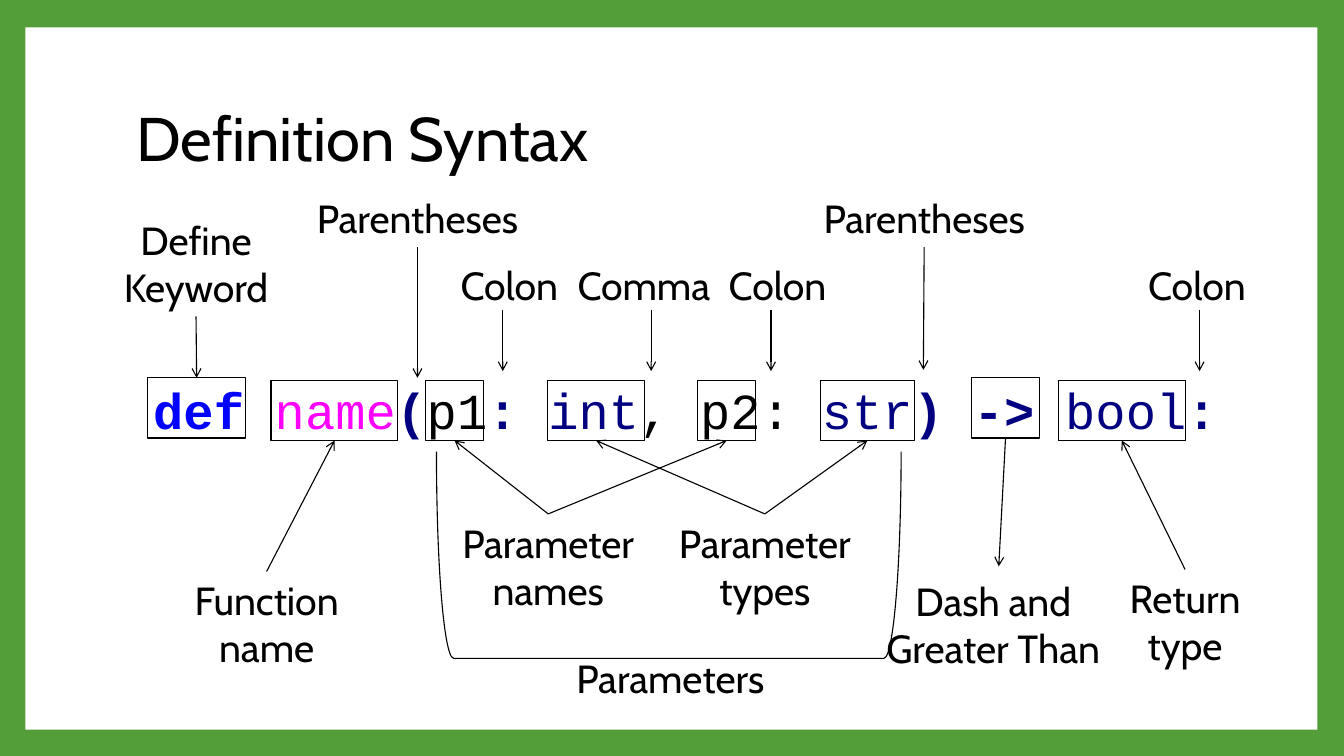
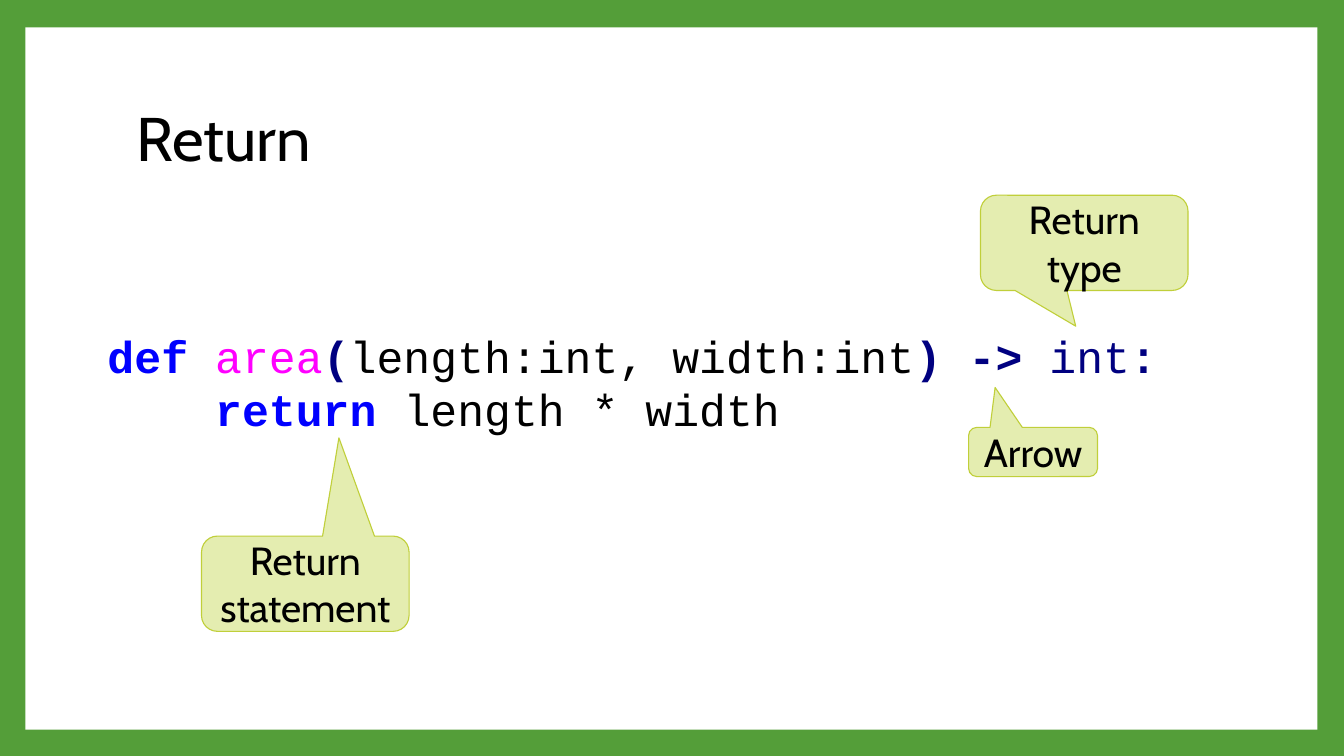
"""Build two slides on Python function definitions and return statements."""
from pptx import Presentation
from pptx.dml.color import RGBColor
from pptx.enum.shapes import MSO_CONNECTOR, MSO_SHAPE
from pptx.enum.text import MSO_ANCHOR, PP_ALIGN
from pptx.oxml.ns import qn
from pptx.util import Cm, Pt
from lxml.etree import SubElement

GREEN = RGBColor(0x54, 0x9E, 0x39)
WHITE = RGBColor(0xFF, 0xFF, 0xFF)
BLACK = RGBColor(0x00, 0x00, 0x00)
BLUE = RGBColor(0x00, 0x00, 0xFF)
NAVY = RGBColor(0x00, 0x00, 0x80)
MAGENTA = RGBColor(0xFF, 0x00, 0xFF)
LIME = RGBColor(0xC0, 0xCF, 0x3A)
PALE_LIME = RGBColor(0xE4, 0xED, 0xB0)

TITLE = {"name": "Cabin", "size": Pt(44)}
LABEL = {"name": "Cabin", "size": Pt(28)}
CODE = {"name": "Courier New"}
THIN = Pt(0.79)
TOP, BOTTOM = 0, 2

BOXES = {
    "def": (3.71, 9.52, 2.49),
    "name": (6.83, 9.58, 3.2),
    "p1": (10.72, 9.58, 1.47),
    "int": (13.79, 9.58, 2.46),
    "p2": (17.58, 9.58, 1.47),
    "str": (20.68, 9.58, 2.36),
    "->": (24.49, 9.52, 1.7),
    "bool": (26.67, 9.58, 3.2),
}
LABELS_BELOW = [
    ("Function name", 4.6, 14.4, 4.24, ["name"]),
    ("Parameter names", 11.25, 12.95, 5.13, ["p1", "p2"]),
    ("Parameter types", 16.71, 12.95, 5.13, ["int", "str"]),
    ("Return type", 27.3, 14.35, 5.13, ["bool"]),
]
PARENTHESES = [(7.47, 6.1, 10.52, 9.52), (20.42, 5.74, 23.27, 9.32)]
PUNCTUATION = [
    ("Colon", 11.3, 3.07, 12.67),
    ("Comma", 14.17, 4.11, 16.41),
    ("Colon", 18.06, 3.07, 19.43),
    ("Colon", 28.63, 3.07, 30.23),
]
DEFINITION = [[
    ("def", BLUE, True), (" ", BLACK, False), ("name", MAGENTA, False),
    ("(", NAVY, True), ("p1", BLACK, False), (": ", NAVY, True),
    ("int", NAVY, False), (", p2:", BLACK, False), (" str", NAVY, False),
    (") -> ", NAVY, True), ("bool", NAVY, False), (":", NAVY, True),
]]
AREA = [
    [
        ("def", BLUE, True), (" ", BLACK, False), ("area", MAGENTA, False),
        ("(", NAVY, True), ("length:int, width:int", BLACK, False),
        (") -> ", NAVY, True), ("int", NAVY, False), (":", NAVY, True),
    ],
    [
        ("    ", BLACK, False), ("return ", BLUE, True),
        ("length * width", BLACK, False),
    ],
]
CALLOUTS = [
    ("Return statement", (5.08, 13.51, 5.23, 2.4), (0.162, -1.532)),
    ("Return type", (24.71, 4.92, 5.23, 2.4), (-0.041, 0.875)),
    ("Arrow", (24.41, 10.77, 3.25, 1.24), (-0.294, -1.311)),
]


def set_format(obj, values):
    for key, value in values.items():
        setattr(obj, key, value)


def add_run(p, text, style, color=BLACK):
    r = p.add_run()
    r.text = text
    set_format(r.font, style)
    r.font.color.rgb = color
    return r


def add_text(s, text, at, style, **para):
    sp = s.shapes.add_textbox(*map(Cm, at))
    sp.text_frame.word_wrap = True
    p = sp.text_frame.paragraphs[0]
    set_format(p, para)
    add_run(p, text, style)
    return sp


def add_label(s, text, x, y, w, h=2.64):
    return add_text(s, text, (x, y, w, h), LABEL, alignment=PP_ALIGN.CENTER)


def add_code(s, lines, at, size, spacing=0):
    sp = s.shapes.add_textbox(*map(Cm, at))
    tf = sp.text_frame
    tf.word_wrap = True
    for i, line in enumerate(lines):
        p = tf.add_paragraph() if i else tf.paragraphs[0]
        for text, color, bold in line:
            r = add_run(p, text, {**CODE, "size": Pt(size), "bold": bold}, color)
            if spacing:
                r.font._element.set("spc", str(spacing))


def add_shape(s, kind, at, fill=None, line=None):
    sp = s.shapes.add_shape(kind, *map(Cm, at))
    sp.shadow.inherit = False
    if fill is None:
        sp.fill.background()
    else:
        sp.fill.solid()
        sp.fill.fore_color.rgb = fill
    if line is None:
        sp.line.fill.background()
    else:
        sp.line.color.rgb = line
        sp.line.width = THIN
    return sp


def add_arrow(s, start=(0, 0), end=(0, 0), begin=None, finish=None):
    cx = s.shapes.add_connector(MSO_CONNECTOR.STRAIGHT, *map(Cm, start + end))
    if begin:
        cx.begin_connect(*begin)
    if finish:
        cx.end_connect(*finish)
    set_format(cx.line, {"width": THIN})
    cx.line.color.rgb = BLACK
    SubElement(cx.line._get_or_add_ln(), qn("a:tailEnd"), type="arrow")
    SubElement(cx._element.spPr, qn("a:effectLst"))


def add_callout(s, text, at, pointer):
    sp = add_shape(s, MSO_SHAPE.ROUNDED_RECTANGULAR_CALLOUT, at, PALE_LIME, LIME)
    for i, value in enumerate((*pointer, 0.167)):
        sp.adjustments[i] = value
    set_format(sp.text_frame, {"word_wrap": True, "vertical_anchor": MSO_ANCHOR.MIDDLE})
    p = sp.text_frame.paragraphs[0]
    p.alignment = PP_ALIGN.CENTER
    add_run(p, text, LABEL)


def add_slide(prs, title):
    s = prs.slides.add_slide(prs.slide_layouts[6])
    s.background.fill.solid()
    s.background.fill.fore_color.rgb = GREEN
    add_shape(s, MSO_SHAPE.RECTANGLE, (0.64, 0.69, 32.56, 17.7), WHITE)
    sp = add_text(s, title, (3.18, 1.7, 27.43, 3.76), TITLE, line_spacing=0.9)
    sp.text_frame.vertical_anchor = MSO_ANCHOR.MIDDLE
    return s


def build_syntax(prs):
    s = add_slide(prs, "Definition Syntax")
    add_code(s, DEFINITION, (3.61, 9.42, 28.14, 1.8), 36, spacing=10)
    boxes = {
        token: add_shape(s, MSO_SHAPE.RECTANGLE, (x, y, w, 1.52), line=BLACK)
        for token, (x, y, w) in BOXES.items()
    }
    keyword = add_label(s, "Define Keyword", 2.82, 5.33, 4.24)
    add_arrow(s, begin=(keyword, BOTTOM), finish=(boxes["def"], TOP))
    for text, x, y, w, tokens in LABELS_BELOW:
        label = add_label(s, text, x, y, w)
        for token in tokens:
            add_arrow(s, begin=(label, TOP), finish=(boxes[token], BOTTOM))
    for x, w, tip_x, tip_y in PARENTHESES:
        label = add_label(s, "Parentheses", x, 4.78, w, 1.45)
        add_arrow(s, end=(tip_x, tip_y), begin=(label, BOTTOM))
    for text, x, w, tip_x in PUNCTUATION:
        add_label(s, text, x, 6.45, w, 1.45)
        add_arrow(s, (tip_x, 7.8), (tip_x, 9.35))
    add_label(s, "Dash and Greater Than", 21.84, 14.43, 6.38)
    add_arrow(s, end=(25.17, 14.27), begin=(boxes["->"], BOTTOM))
    bracket = add_shape(s, MSO_SHAPE.LEFT_BRACKET, (14.25, 8.13, 5.21, 11.71), line=BLACK)
    bracket.rotation = 270
    add_label(s, "Parameters", 14.1, 16.36, 5.59, 1.45)


def build_return(prs):
    s = add_slide(prs, "Return")
    add_code(s, AREA, (2.46, 8.15, 28.14, 3), 32)
    for callout in CALLOUTS:
        add_callout(s, *callout)


def main():
    prs = Presentation()
    set_format(prs, {"slide_width": Cm(33.87), "slide_height": Cm(19.05)})
    build_syntax(prs)
    build_return(prs)
    prs.save("out.pptx")


if __name__ == "__main__":
    main()
